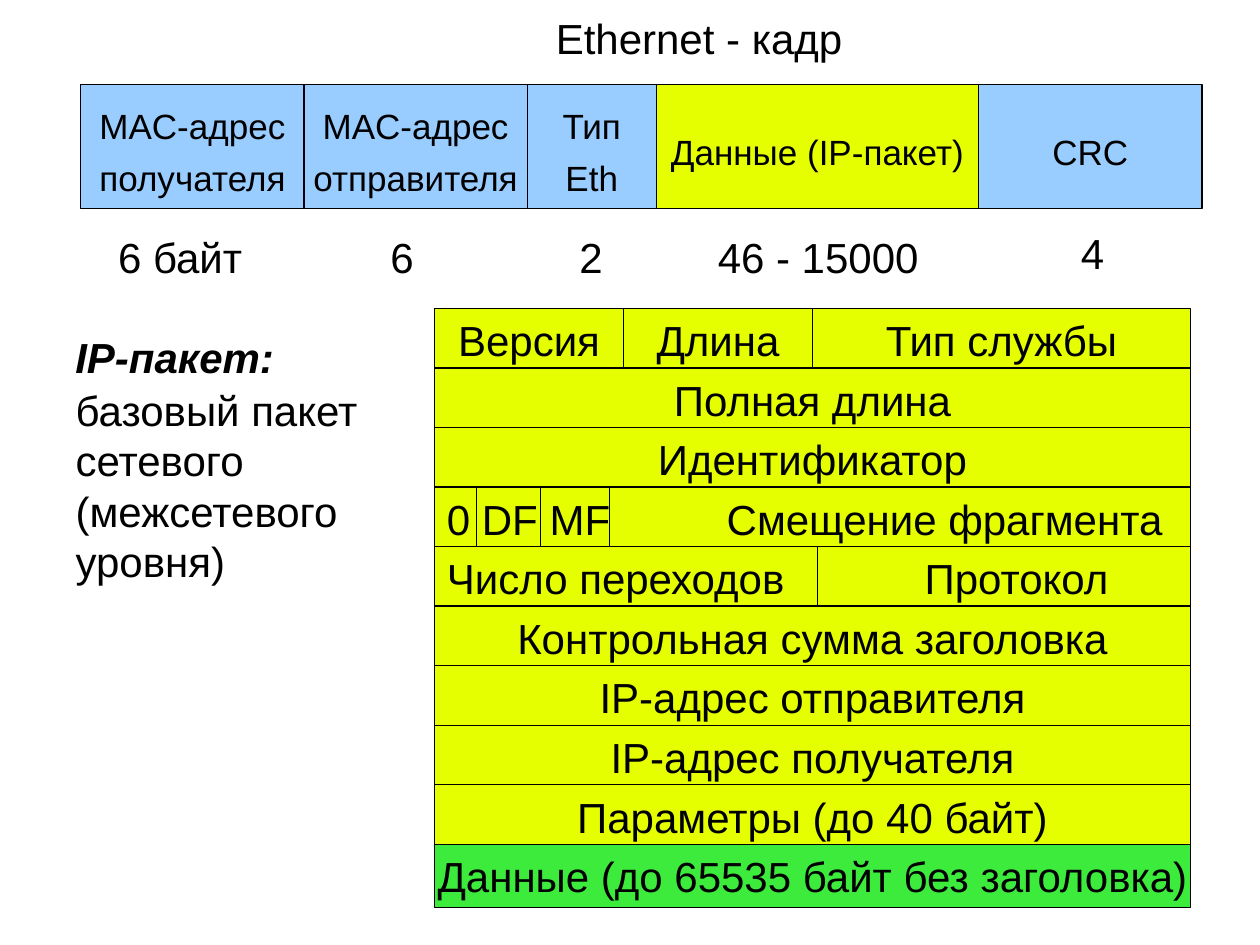
import pptx
import pptx.util
import pptx.dml.color
import pptx.enum.shapes
import pptx.enum.text
import pptx.oxml.ns
import lxml.etree

Cm = pptx.util.Cm
Pt = pptx.util.Pt
qn = pptx.oxml.ns.qn
ALIGN = pptx.enum.text.PP_ALIGN
ANCHOR = pptx.enum.text.MSO_ANCHOR

BLACK = pptx.dml.color.RGBColor(0x00, 0x00, 0x00)
BLUE = pptx.dml.color.RGBColor(0x99, 0xCC, 0xFF)
YELLOW = pptx.dml.color.RGBColor(0xE6, 0xFF, 0x00)
GREEN = pptx.dml.color.RGBColor(0x3D, 0xEB, 0x3D)

FRAME_TITLE = "Ethernet - кадр"
FRAME_FIELDS = [
    (["MAC-адрес", "получателя"], 4.5, BLUE),
    (["MAC-адрес", "отправителя"], 4.5, BLUE),
    (["Тип", "Eth"], 2.6, BLUE),
    (["Данные (IP-пакет)"], 6.5, YELLOW),
    (["CRC"], 4.5, BLUE),
]
FIELD_SIZES = [
    ("6 байт", 2.13, 4.29, 3.5),
    ("6", 7.62, 4.29, 1.1),
    ("2", 11.43, 4.29, 1.5),
    ("46 - 15000", 14.22, 4.29, 4.7),
    ("4", 21.54, 4.22, 1.5),
]
PACKET_TERM = "IP-пакет:"
PACKET_MEANING = "базовый пакет сетевого (межсетевого уровня)"
FIRST_ROW = [("Версия", 3.81), ("Длина", 3.81), ("Тип службы", 7.62)]
PACKET_ROWS = [
    {"text": "Полная длина"},
    {"text": "Идентификатор"},
    {"text": "0 DF MF\tСмещение фрагмента", "tab": 5.64, "dividers": [9.6, 10.9, 12.29]},
    {"text": "Число переходов\tПротокол", "tab": 9.63, "dividers": [16.48]},
    {"text": "Контрольная сумма заголовка"},
    {"text": "IP-адрес отправителя"},
    {"text": "IP-адрес получателя"},
    {"text": "Параметры (до 40 байт)"},
    {"text": "Данные (до 65535 байт без заголовка)", "fill": GREEN},
]

FRAME_LEFT, FRAME_TOP, FRAME_HEIGHT = 1.63, 1.7, 2.5
PACKET_LEFT, PACKET_TOP, PACKET_WIDTH = 8.76, 6.22, 15.24
ROW_PITCH, ROW_HEIGHT = 1.2, 1.27


def write(shape, lines, size=24, align=ALIGN.LEFT, anchor=ANCHOR.TOP, wrap=True,
          spacing=1.0, tab=None, bold=False, italic=False):
    frame = shape.text_frame
    frame.auto_size = pptx.enum.text.MSO_AUTO_SIZE.NONE
    frame.word_wrap = wrap
    frame.vertical_anchor = anchor
    frame.text = "\n".join(lines)
    for paragraph in frame.paragraphs:
        properties = paragraph._p.get_or_add_pPr()
        if shape.is_placeholder:
            properties.set("marL", "0")
            properties.set("indent", "0")
            lxml.etree.SubElement(properties, qn("a:buNone"))
        if tab:
            stops = lxml.etree.SubElement(properties, qn("a:tabLst"))
            lxml.etree.SubElement(stops, qn("a:tab"), pos=str(Cm(tab)), algn="l")
        paragraph.alignment = align
        paragraph.line_spacing = spacing
        paragraph.space_before = Pt(0)
        font = paragraph.font
        font.name, font.size = "Arial", Pt(size)
        font.bold, font.italic = bold, italic
        font.color.rgb = BLACK


def place(shape, left, top, width, height):
    shape.left, shape.top = Cm(left), Cm(top)
    shape.width, shape.height = Cm(width), Cm(height)


def add_field(left, top, width, height, fill, lines, **style):
    field = slide.shapes.add_shape(pptx.enum.shapes.MSO_SHAPE.RECTANGLE,
                                   Cm(left), Cm(top), Cm(width), Cm(height))
    field.shadow.inherit = False
    field.fill.solid()
    field.fill.fore_color.rgb = fill
    field.line.color.rgb = BLACK
    field.line.width = Pt(0.75)
    write(field, lines, anchor=ANCHOR.MIDDLE, **style)


def add_label(left, top, width, height, text, **style):
    label = slide.shapes.add_textbox(Cm(left), Cm(top), Cm(width), Cm(height))
    write(label, [text], **style)


def add_divider(x, top):
    divider = slide.shapes.add_connector(pptx.enum.shapes.MSO_CONNECTOR.STRAIGHT,
                                         Cm(x), Cm(top), Cm(x), Cm(top + ROW_HEIGHT))
    divider.line.color.rgb = BLACK
    divider.line.width = Pt(0.75)
    lxml.etree.SubElement(divider._element.spPr, qn("a:effectLst"))


presentation = pptx.Presentation()
presentation.slide_width, presentation.slide_height = Cm(25.4), Cm(19.05)
slide = presentation.slides.add_slide(presentation.slide_layouts[1])

frame_title = slide.shapes.title
place(frame_title, 10.95, 0.13, 12.7, 1.27)
write(frame_title, [FRAME_TITLE])

packet_meaning = slide.placeholders[1]
place(packet_meaning, 1.27, 7.62, 6.99, 4.32)
write(packet_meaning, [PACKET_MEANING])
add_label(1.27, 6.55, 6.35, 1.27, PACKET_TERM, bold=True, italic=True)

left = FRAME_LEFT
for lines, width, fill in FRAME_FIELDS:
    add_field(left, FRAME_TOP, width, FRAME_HEIGHT, fill, lines,
              size=20, align=ALIGN.CENTER, wrap=False, spacing=1.24)
    left += width

for text, left, top, width in FIELD_SIZES:
    add_label(left, top, width, 1.5, text, spacing=1.24)

left = PACKET_LEFT
for text, width in FIRST_ROW:
    add_field(left, PACKET_TOP, width, ROW_HEIGHT, YELLOW, [text],
              align=ALIGN.CENTER, wrap=False)
    left += width

for number, row in enumerate(PACKET_ROWS, start=1):
    top = PACKET_TOP + number * ROW_PITCH
    tab = row.get("tab")
    add_field(PACKET_LEFT, top, PACKET_WIDTH, ROW_HEIGHT, row.get("fill", YELLOW),
              [row["text"]], align=ALIGN.LEFT if tab else ALIGN.CENTER,
              wrap=bool(tab), tab=tab)
    for x in row.get("dividers", []):
        add_divider(x, top)

presentation.save("out.pptx")
